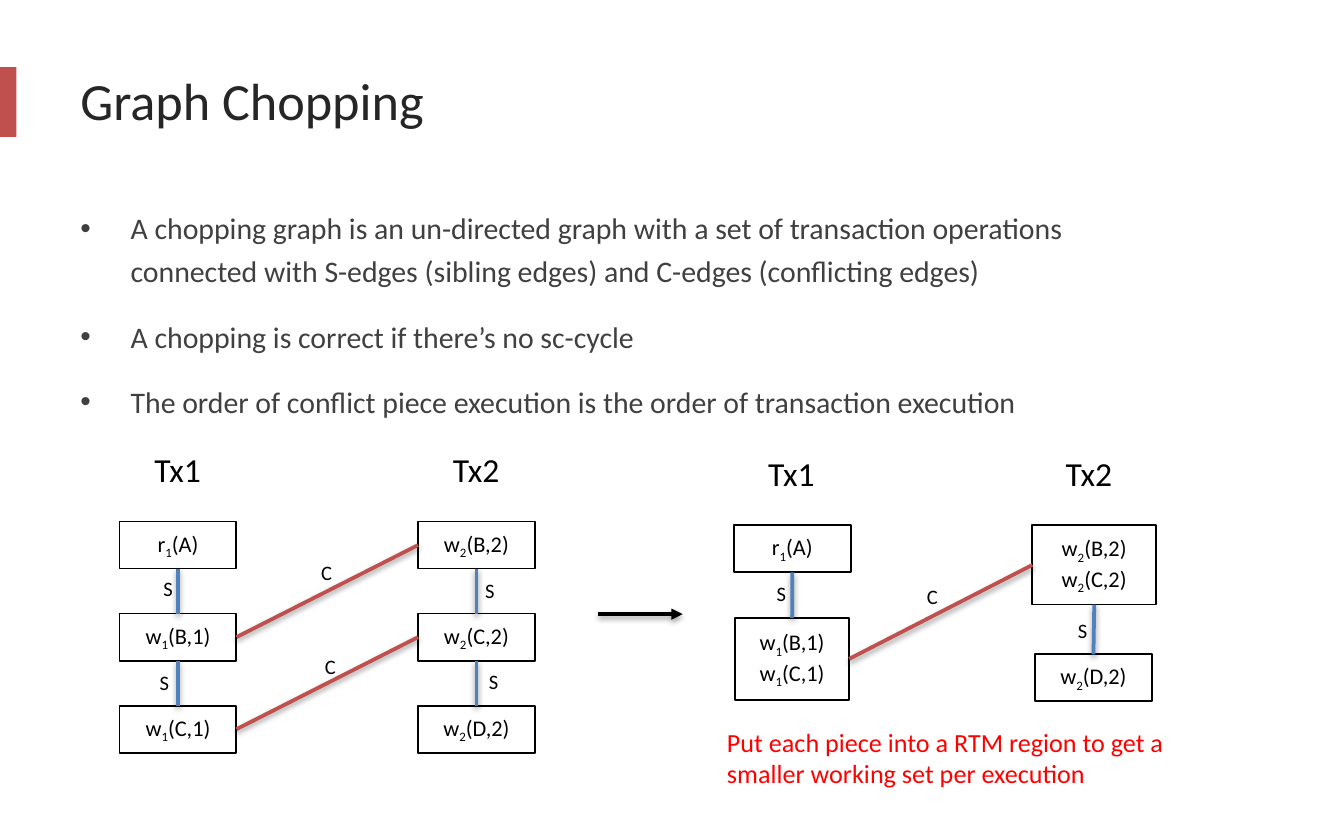
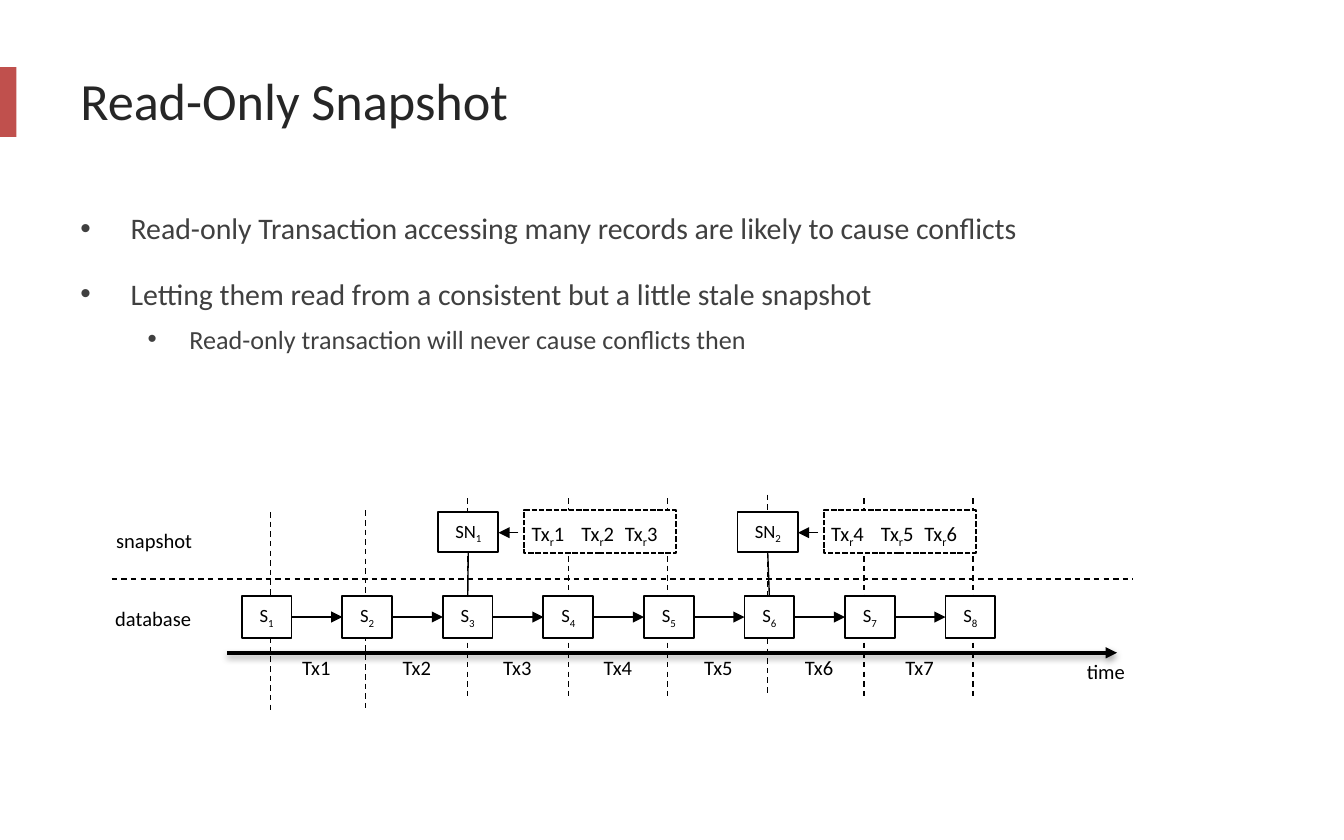
from lxml import etree
from pptx import Presentation
from pptx.dml.color import RGBColor
from pptx.enum.dml import MSO_LINE
from pptx.enum.shapes import MSO_CONNECTOR, MSO_SHAPE
from pptx.enum.text import MSO_ANCHOR, PP_ALIGN
from pptx.oxml.ns import qn
from pptx.util import Cm, Pt

STRAIGHT = MSO_CONNECTOR.STRAIGHT
RECTANGLE = MSO_SHAPE.RECTANGLE
DASH = MSO_LINE.DASH
SHORT_DASH = MSO_LINE.SQUARE_DOT
MIDDLE = MSO_ANCHOR.MIDDLE
LEFT = PP_ALIGN.LEFT
CENTER = PP_ALIGN.CENTER

TOP_SIDE, LEFT_SIDE, BOTTOM_SIDE, RIGHT_SIDE = range(4)
FONT = "Calibri"
COLORS = {
    "accent": "C0504D",
    "sibling": "4F81BD",
    "title": "262626",
    "body": "404040",
    "ink": "000000",
    "paper": "FFFFFF",
    "note": "FF0000",
}
BULLET_LEVELS = [
    {"size": 16, "margin": 0.95, "hanging": 0.95, "before": 12},
    {"size": 14, "margin": 2.06, "hanging": 0.79, "before": 3},
]


def rgb(name):
    """Return the named colour."""
    return RGBColor.from_string(COLORS[name])


def write_spans(para, text, size, color="ink", align=LEFT):
    """Write text in which parts between underscores are subscripts."""
    para.alignment = align
    for index, part in enumerate(text.split("_")):
        if not part:
            continue
        span = para.add_run()
        span.text = part
        span.font.name = FONT
        span.font.size = Pt(size)
        span.font.color.rgb = rgb(color)
        if index % 2:
            span._r.get_or_add_rPr().set("baseline", "-25000")


def add_label(page, text, left, top, width, height=0.74, size=11,
              color="ink", align=LEFT, wrap=False):
    """Add a text box with one paragraph."""
    box = page.shapes.add_textbox(Cm(left), Cm(top), Cm(width), Cm(height))
    box.text_frame.word_wrap = wrap
    write_spans(box.text_frame.paragraphs[0], text, size, color, align)
    return box


def add_box(page, left, top, width, height, fill="paper", border="ink", dash=None):
    """Add a flat rectangle, with a border if a colour is given for it."""
    box = page.shapes.add_shape(RECTANGLE, Cm(left), Cm(top), Cm(width), Cm(height))
    box.shadow.inherit = False
    box.fill.solid()
    box.fill.fore_color.rgb = rgb(fill)
    if border:
        box.line.color.rgb = rgb(border)
        box.line.width = Pt(1)
        if dash:
            box.line.dash_style = dash
    else:
        box.line.fill.background()
    return box


def add_node(page, lines, left, top, width=2.21, height=0.89, size=12):
    """Add a bordered box with centred lines of text."""
    box = add_box(page, left, top, width, height)
    frame = box.text_frame
    frame.word_wrap = False
    frame.vertical_anchor = MIDDLE
    for index, line in enumerate(lines):
        para = frame.add_paragraph() if index else frame.paragraphs[0]
        write_spans(para, line, size, align=CENTER)
    return box


def add_line(page, start=(0, 0), end=(0, 0), color="ink", width=0.75,
             dash=None, arrow=False, shadow=False):
    """Add a straight line, optionally dashed, with an arrowhead or a shadow."""
    line = page.shapes.add_connector(STRAIGHT, *map(Cm, start + end))
    line.line.color.rgb = rgb(color)
    line.line.width = Pt(width)
    if dash:
        line.line.dash_style = dash
    if arrow:
        etree.SubElement(line.get_or_add_ln(), qn("a:tailEnd"), type="triangle")
    effects = etree.SubElement(line._element.spPr, qn("a:effectLst"))
    if shadow:
        outer = etree.SubElement(effects, qn("a:outerShdw"), blurRad="40000",
                                 dist="20000", dir="5400000", rotWithShape="0")
        tint = etree.SubElement(outer, qn("a:srgbClr"), val=COLORS["ink"])
        etree.SubElement(tint, qn("a:alpha"), val="38000")
    return line


def join(page, first, first_side, second, second_side, **style):
    """Join the sides of two boxes with a line."""
    line = add_line(page, **style)
    line.begin_connect(first, first_side)
    line.end_connect(second, second_side)


def add_sibling_edge(page, upper, lower):
    """Join two pieces of one transaction."""
    join(page, upper, BOTTOM_SIDE, lower, TOP_SIDE,
         color="sibling", width=2, shadow=True)


def add_conflict_edge(page, first, second):
    """Join conflicting pieces of two transactions."""
    join(page, first, RIGHT_SIDE, second, LEFT_SIDE,
         color="accent", width=2, shadow=True)


def add_bullets(page, items, width):
    """Add the body text from pairs of level and text."""
    box = page.shapes.add_textbox(Cm(1.27), Cm(3.71), Cm(width), Cm(10.44))
    frame = box.text_frame
    frame.word_wrap = True
    for index, (level, text) in enumerate(items):
        style = BULLET_LEVELS[level]
        para = frame.add_paragraph() if index else frame.paragraphs[0]
        para.level = level
        para.line_spacing = 1.2
        if index:
            para.space_before = Pt(style["before"])
        properties = para._p.get_or_add_pPr()
        properties.set("marL", str(Cm(style["margin"])))
        properties.set("indent", str(-Cm(style["hanging"])))
        etree.SubElement(properties, qn("a:buFont"), typeface="Arial")
        etree.SubElement(properties, qn("a:buChar"), char="•")
        write_spans(para, text, style["size"], "body")


def add_page(deck, title):
    """Add a blank page with the accent bar and a title."""
    page = deck.slides.add_slide(deck.slide_layouts[6])
    add_box(page, -0.15, 1.27, 0.46, 1.32, fill="accent", border=None)
    box = add_label(page, title, 1.27, 0.64, 22.86, 2.49, 28, "title", wrap=True)
    box.text_frame.vertical_anchor = MIDDLE
    return page


def draw_full_graph(page):
    """Draw the graph with one operation per piece."""
    columns = [
        (2.26, ["r_1_(A)", "w_1_(B,1)", "w_1_(C,1)"]),
        (7.9, ["w_2_(B,2)", "w_2_(C,2)", "w_2_(D,2)"]),
    ]
    first, second = [
        [add_node(page, [text], left, 9.86 + 1.74 * row)
         for row, text in enumerate(operations)]
        for left, operations in columns
    ]
    for pieces in (first, second):
        for upper, lower in zip(pieces, pieces[1:]):
            add_sibling_edge(page, upper, lower)
    for source, target in zip(first[1:], second):
        add_conflict_edge(page, source, target)


def draw_merged_graph(page):
    """Draw the graph with conflicting operations merged into pieces."""
    read = add_node(page, ["r_1_(A)"], 13.87, 9.93)
    first_writes = add_node(page, ["w_1_(B,1)", "w_1_(C,1)"], 13.89, 11.68, 2.16, 1.55)
    second_writes = add_node(page, ["w_2_(B,2)", "w_2_(C,2)"], 19.51, 9.93, 2.34, 1.5)
    last_write = add_node(page, ["w_2_(D,2)"], 19.56, 12.37)
    add_sibling_edge(page, read, first_writes)
    add_sibling_edge(page, second_writes, last_write)
    add_conflict_edge(page, first_writes, second_writes)


def build_chopping_page(deck):
    """Build the page on graph chopping."""
    page = add_page(deck, "Graph Chopping")
    add_bullets(page, [
        (0, "A chopping graph is an un-directed graph with a set of transaction "
            "operations connected with S-edges (sibling edges) and C-edges "
            "(conflicting edges)"),
        (0, "A chopping is correct if there’s no sc-cycle"),
        (0, "The order of conflict piece execution is the order of transaction execution"),
    ], 20.04)
    draw_full_graph(page)
    draw_merged_graph(page)
    for text, left, top in [("Tx1", 2.67, 8.36), ("Tx2", 8.31, 8.36),
                            ("Tx1", 14.27, 8.43), ("Tx2", 19.89, 8.43)]:
        add_label(page, text, left, top, 1.4, 1.02, 18)
    edge_labels = {
        "S": [(2.84, 10.77), (2.77, 12.55), (8.92, 10.8), (8.99, 12.52),
              (14.43, 10.85), (20.12, 11.56)],
        "C": [(5.82, 10.46), (5.89, 12.24), (17.27, 10.92)],
    }
    for text, places in edge_labels.items():
        for left, top in places:
            add_label(page, text, left, top, 0.61)
    add_line(page, (11.3, 11.61), (12.9, 11.61), width=2, arrow=True, shadow=True)
    add_label(page, "Put each piece into a RTM region to get a smaller working set "
              "per execution", 13.49, 13.61, 9.73, 1.5, 14, "note", wrap=True)


def draw_snapshot(page, number, left, state):
    """Draw a snapshot, the state it is taken from and its three readers."""
    add_box(page, left + 1.63, 9.65, 2.87, 0.81, dash=SHORT_DASH)
    snapshot = add_node(page, [f"SN_{number}_"], left, 9.68, 1.14, 0.76, 10)
    join(page, state, TOP_SIDE, snapshot, BOTTOM_SIDE)
    add_line(page, (left + 1.52, 10.07), (left + 1.14, 10.07), arrow=True)
    first_reader = 3 * number - 2
    for index, offset in enumerate([1.52, 2.46, 3.28]):
        add_label(page, f"Tx_r_{first_reader + index}", left + offset, 9.73, 1.19)


def build_snapshot_page(deck):
    """Build the page on read-only snapshots."""
    page = add_page(deck, "Read-Only Snapshot")
    add_bullets(page, [
        (0, "Read-only Transaction accessing many records are likely to cause conflicts"),
        (0, "Letting them read from a consistent but a little stale snapshot"),
        (1, "Read-only transaction will never cause conflicts then"),
    ], 22.86)

    moments = [(5.11, 9.68), (6.91, 9.65), (8.84, 9.42), (10.74, 9.42),
               (12.62, 9.42), (14.5, 9.35), (16.33, 9.42), (18.39, 9.42)]
    for left, top in moments:
        add_line(page, (left, top), (left, top + 3.81), dash=DASH)
    add_line(page, (2.11, 10.95), (21.41, 10.95), dash=DASH)
    add_line(page, (4.29, 12.34), (21.11, 12.34), width=2, arrow=True, shadow=True)
    add_label(page, "time", 20.29, 12.34, 1.4)
    add_label(page, "snapshot", 1.52, 9.86, 2.79, align=CENTER)
    add_label(page, "database", 1.5, 11.33, 2.79, align=CENTER)

    step = 1.9
    states = [add_node(page, [f"S_{index + 1}_"], 4.57 + step * index, 11.27,
                       0.94, 0.79, 10) for index in range(8)]
    for index, (before, after) in enumerate(zip(states, states[1:])):
        join(page, before, RIGHT_SIDE, after, LEFT_SIDE, arrow=True)
        add_label(page, f"Tx{index + 1}", 5.46 + step * index, 12.25, 1.19)
    draw_snapshot(page, 1, 8.28, states[2])
    draw_snapshot(page, 2, 13.94, states[5])


def main():
    """Build and save the deck."""
    deck = Presentation()
    deck.slide_width = Cm(25.4)
    deck.slide_height = Cm(15.88)
    build_chopping_page(deck)
    build_snapshot_page(deck)
    deck.save("out.pptx")


if __name__ == "__main__":
    main()
